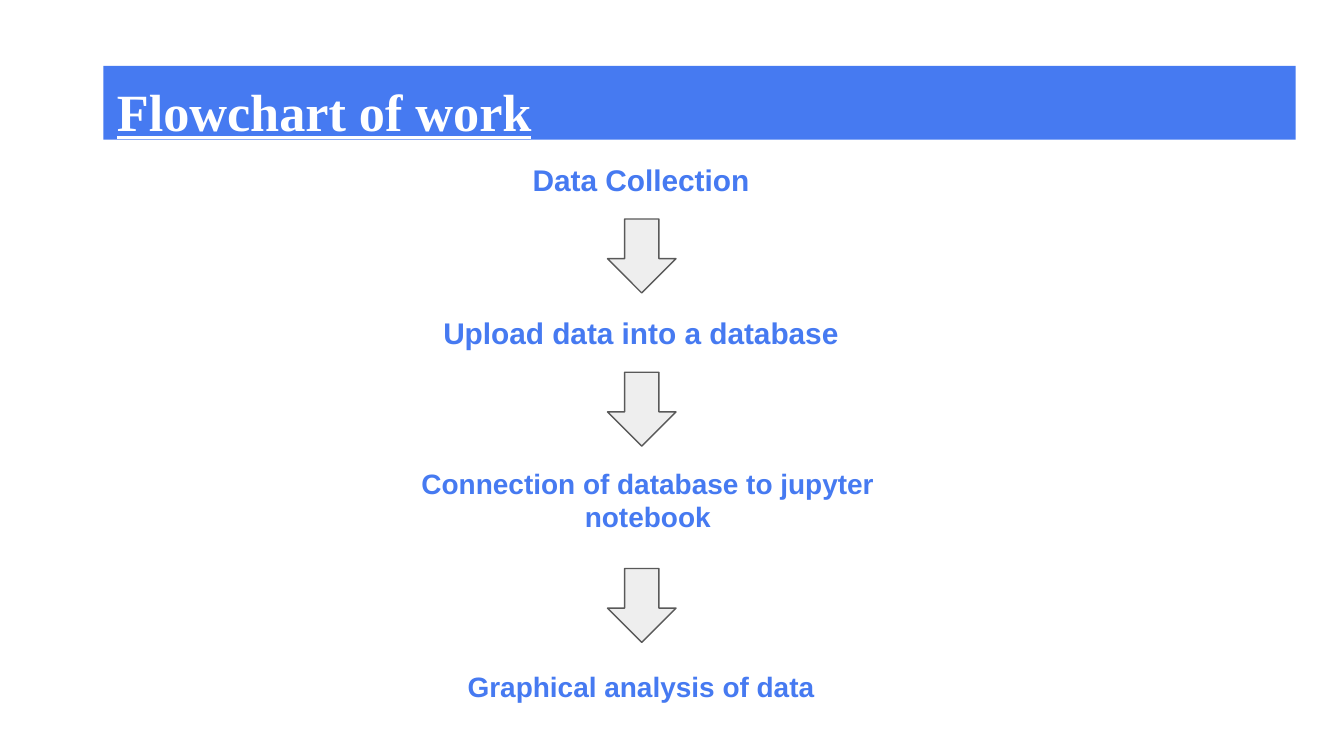
from dataclasses import dataclass

from pptx import Presentation
from pptx.dml.color import RGBColor
from pptx.enum.shapes import MSO_SHAPE
from pptx.enum.text import MSO_ANCHOR, MSO_AUTO_SIZE, PP_ALIGN
from pptx.util import Inches, Pt


@dataclass(frozen=True)
class Theme:
    blue: RGBColor = RGBColor(0x46, 0x7A, 0xF1)
    white: RGBColor = RGBColor(0xFF, 0xFF, 0xFF)
    pale: RGBColor = RGBColor(0xEE, 0xEE, 0xEE)
    gray: RGBColor = RGBColor(0x59, 0x59, 0x59)
    serif: str = "Times New Roman"
    sans: str = "Arial"
    head: int = 28
    large: int = 16
    small: int = 15


THEME = Theme()
STEPS = [
    ("Data Collection", (0.4, 0, 3.2, 0.47), THEME.large),
    ("Upload data into a database", (0.4, 1.14, 3.2, 0.47), THEME.large),
    ("Connection of database to jupyter notebook", (0, 2.27, 4.1, 0.71), THEME.small),
    ("Graphical analysis of data", (0.16, 3.78, 3.68, 0.45), THEME.small),
]
ARROWS = (0.53, 1.67, 3.13)


def write(shape, text, face, size, color, align):
    frame = shape.text_frame
    frame.text = text
    frame.word_wrap = True
    frame.vertical_anchor = MSO_ANCHOR.TOP
    frame.margin_left = frame.margin_right = Inches(0.1)
    frame.margin_top = frame.margin_bottom = Inches(0.1)
    line = frame.paragraphs[0]
    line.alignment = align
    font = line.runs[0].font
    font.name, font.size, font.bold = face, Pt(size), True
    font.color.rgb = color
    return font


def add_title(slide, box):
    title = slide.shapes.title
    title.left, title.top, title.width, title.height = map(Inches, box)
    title.fill.solid()
    title.fill.fore_color.rgb = THEME.blue
    font = write(title, "Flowchart of work", THEME.serif, THEME.head,
                 THEME.white, PP_ALIGN.LEFT)
    font.underline = True
    title.text_frame.auto_size = MSO_AUTO_SIZE.NONE


def add_step(slide, text, box, size):
    label = slide.shapes.add_textbox(*map(Inches, box))
    write(label, text, THEME.sans, size, THEME.blue, PP_ALIGN.CENTER)
    label.text_frame.auto_size = MSO_AUTO_SIZE.SHAPE_TO_FIT_TEXT


def add_arrow(slide, box):
    arrow = slide.shapes.add_shape(MSO_SHAPE.DOWN_ARROW, *map(Inches, box))
    arrow.shadow.inherit = False
    arrow.fill.solid()
    arrow.fill.fore_color.rgb = THEME.pale
    arrow.line.color.rgb = THEME.gray
    arrow.line.width = Pt(0.75)


def add_flow(slide, left, top):
    for text, (x, y, wide, high), size in STEPS:
        add_step(slide, text, (left + x, top + y, wide, high), size)
    for y in ARROWS:
        add_arrow(slide, (left + 1.75, top + y, 0.51, 0.55))


def main():
    deck = Presentation()
    deck.slide_width = Inches(10)
    deck.slide_height = deck.slide_width * 9 // 16
    slide = deck.slides.add_slide(deck.slide_layouts[5])
    add_title(slide, (0.77, 0.49, 8.87, 0.55))
    add_flow(slide, 2.77, 1.1)
    deck.save("out.pptx")


if __name__ == "__main__":
    main()
